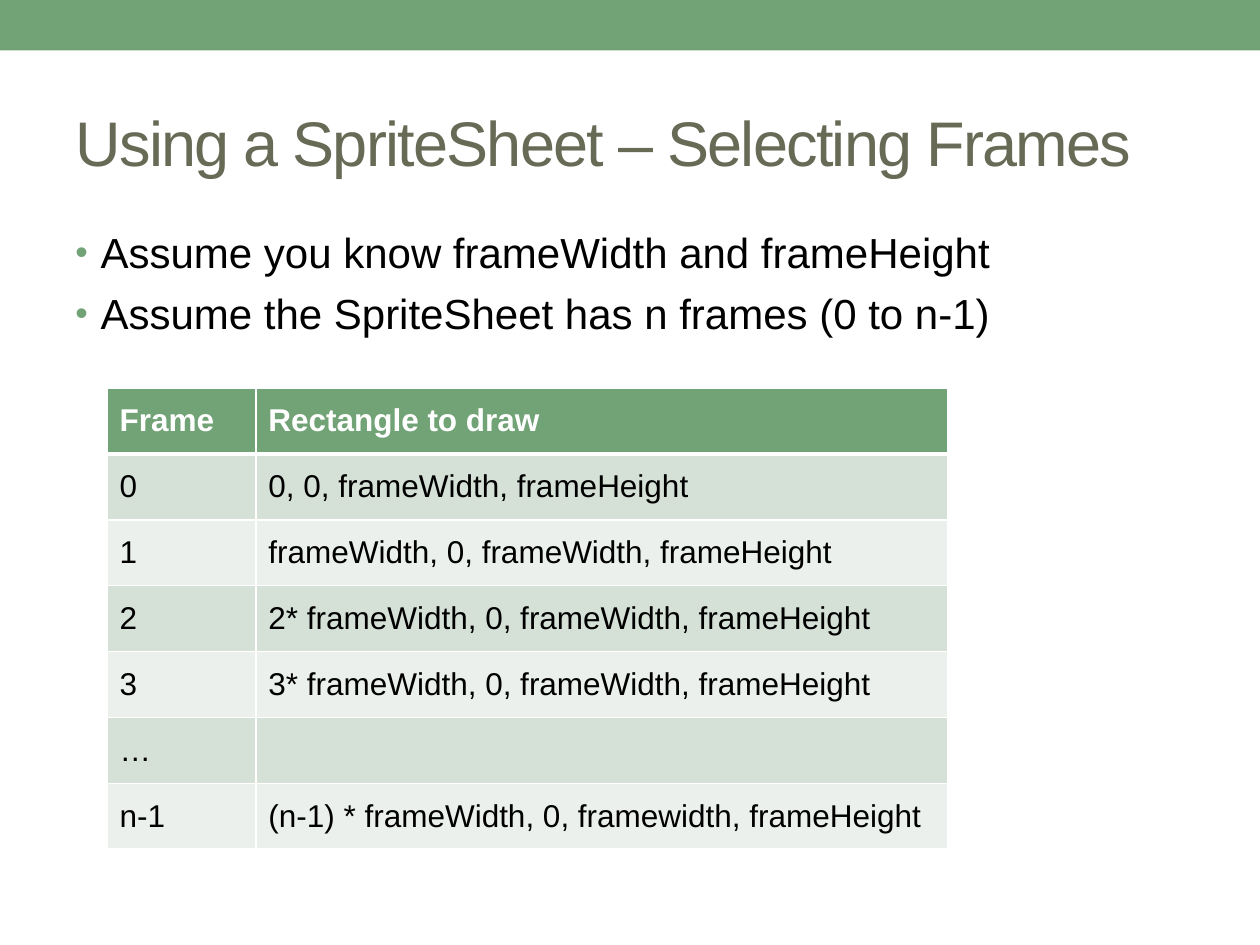
"""Build a slide that lists the source rectangle of each SpriteSheet frame."""
from lxml.etree import SubElement
from pptx import Presentation
from pptx.dml.color import RGBColor
from pptx.enum.shapes import MSO_SHAPE
from pptx.enum.text import MSO_ANCHOR, PP_ALIGN
from pptx.oxml.ns import qn
from pptx.util import Inches, Pt

TITLE = "Using a SpriteSheet – Selecting Frames"
BULLETS = [
    "Assume you know frameWidth and frameHeight",
    "Assume the SpriteSheet has n frames (0 to n-1)",
]
ROWS = [
    ("Frame", "Rectangle to draw"),
    ("0", "0, 0, frameWidth, frameHeight"),
    ("1", "frameWidth, 0, frameWidth, frameHeight"),
    ("2", "2* frameWidth, 0, frameWidth, frameHeight"),
    ("3", "3* frameWidth, 0, frameWidth, frameHeight"),
    ("…", ""),
    ("n-1", "(n-1) * frameWidth, 0, framewidth, frameHeight"),
]
COLUMN_WIDTHS = (1.18, 5.49)
TABLE_LEFT, TABLE_TOP, TABLE_HEIGHT = 0.85, 3.08, 3.66
MARGIN = 0.5

FONT = "Arial"
GREEN = RGBColor(0x72, 0xA3, 0x76)
OLIVE = RGBColor(0x67, 0x6A, 0x55)
BLACK = RGBColor(0, 0, 0)
WHITE = RGBColor(0xFF, 0xFF, 0xFF)
BANDS = (RGBColor(0xEB, 0xF0, 0xEC), RGBColor(0xD5, 0xE0, 0xD6))


def add_text(para, text, size, color, bold=False, before=0, after=0, tracking=0):
    """Write one formatted, left-aligned span into a paragraph."""
    para.alignment = PP_ALIGN.LEFT
    para.space_before, para.space_after = Pt(before), Pt(after)
    span = para.add_run()
    span.text = text
    span.font.name, span.font.size, span.font.bold = FONT, Pt(size), bold
    span.font.color.rgb = color
    if tracking:
        span.font._element.set("spc", str(tracking * 100))


def add_bullet(para):
    """Give a paragraph a green hanging bullet."""
    props = para._p.get_or_add_pPr()
    props.set("marL", str(Inches(0.2)))
    props.set("indent", str(-Inches(0.2)))
    color = SubElement(props, qn("a:buClr"))
    SubElement(color, qn("a:srgbClr"), val=str(GREEN))
    SubElement(props, qn("a:buSzPct"), val="85000")
    SubElement(props, qn("a:buFont"), typeface=FONT)
    SubElement(props, qn("a:buChar"), char="•")


def paint_cell(cell, fill, bottom=1):
    """Fill a cell and draw its white borders."""
    props = cell._tc.get_or_add_tcPr()
    for side, width in (("L", 1), ("R", 1), ("T", 1), ("B", bottom)):
        border = SubElement(props, qn(f"a:ln{side}"), w=str(Pt(width)))
        solid = SubElement(border, qn("a:solidFill"))
        SubElement(solid, qn("a:srgbClr"), val=str(WHITE))
    cell.fill.solid()
    cell.fill.fore_color.rgb = fill


def add_frame_table(page):
    """Add the table of frames and rectangles."""
    table = page.shapes.add_table(
        len(ROWS), len(COLUMN_WIDTHS), Inches(TABLE_LEFT), Inches(TABLE_TOP),
        Inches(sum(COLUMN_WIDTHS)), Inches(TABLE_HEIGHT)).table
    for column, width in zip(table.columns, COLUMN_WIDTHS):
        column.width = Inches(width)
    for r, row in enumerate(ROWS):
        header = r == 0
        for c, text in enumerate(row):
            cell = table.cell(r, c)
            cell.vertical_anchor = MSO_ANCHOR.MIDDLE
            paint_cell(cell, GREEN if header else BANDS[r % 2],
                       bottom=3 if header else 1)
            if text:
                add_text(cell.text_frame.paragraphs[0], text, 18,
                         WHITE if header else BLACK, bold=header,
                         before=12, after=12)


def main():
    """Assemble and save the slide."""
    deck = Presentation()
    deck.slide_width, deck.slide_height = Inches(10), Inches(7.5)
    page = deck.slides.add_slide(deck.slide_layouts[5])
    content_width = deck.slide_width - 2 * Inches(MARGIN)

    bar = page.shapes.add_shape(
        MSO_SHAPE.RECTANGLE, 0, 0, deck.slide_width, Inches(0.4))
    bar.shadow.inherit = False
    bar.fill.solid()
    bar.fill.fore_color.rgb = GREEN
    bar.line.fill.background()

    title = page.shapes.title
    title.left, title.top = Inches(MARGIN), Inches(0.58)
    title.width, title.height = content_width, Inches(1.08)
    title.text_frame.vertical_anchor = MSO_ANCHOR.MIDDLE
    add_text(title.text_frame.paragraphs[0], TITLE, 36, OLIVE, tracking=-1)

    box = page.shapes.add_textbox(
        Inches(MARGIN), Inches(1.75), content_width, Inches(5.33))
    frame = box.text_frame
    frame.word_wrap = True
    for i, text in enumerate(BULLETS):
        para = frame.add_paragraph() if i else frame.paragraphs[0]
        add_text(para, text, 24, BLACK, before=6)
        add_bullet(para)

    add_frame_table(page)
    deck.save("out.pptx")


if __name__ == "__main__":
    main()
